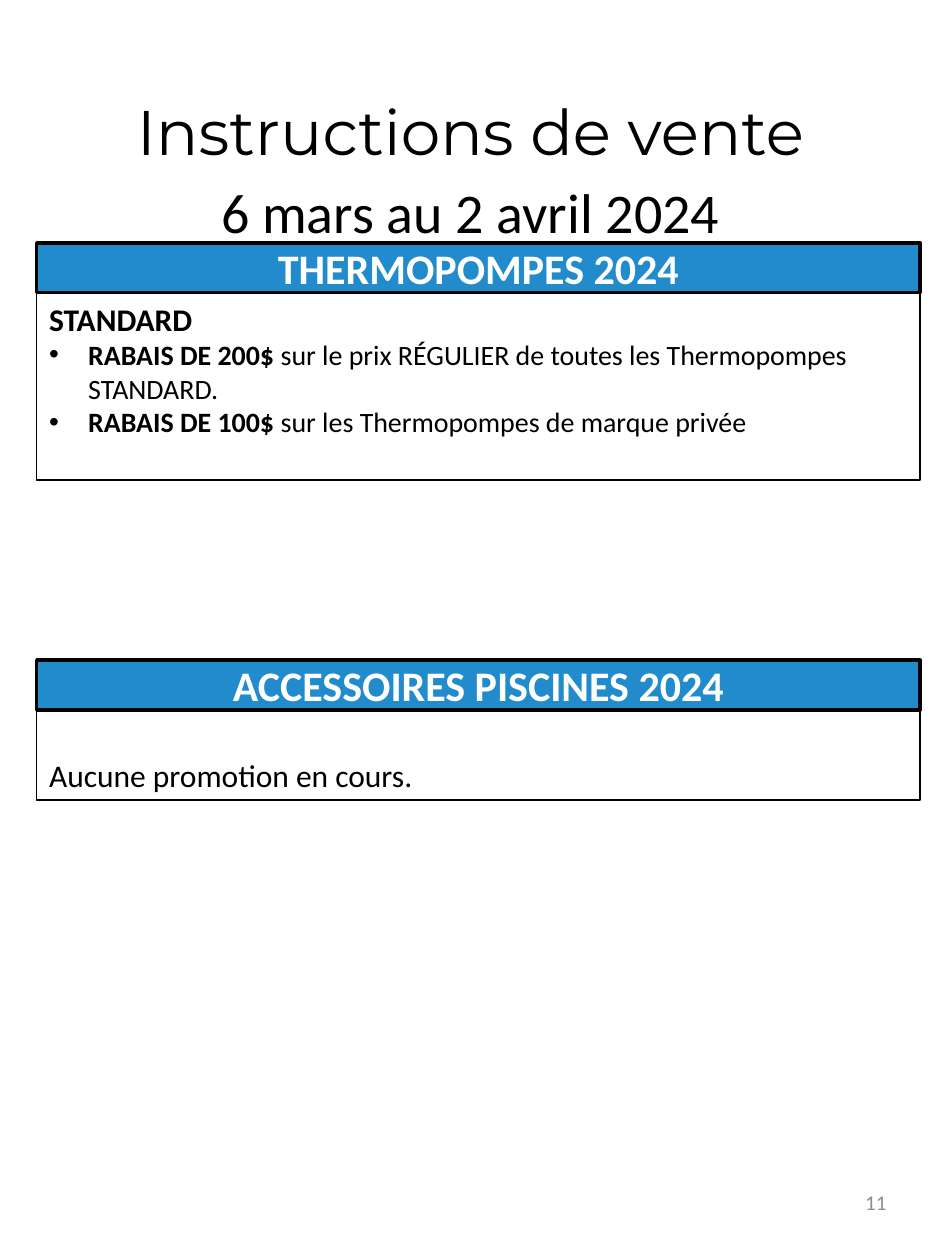
from dataclasses import dataclass

from lxml.etree import SubElement
from pptx import Presentation
from pptx.dml.color import RGBColor
from pptx.enum.shapes import MSO_SHAPE as Shape
from pptx.enum.text import MSO_ANCHOR as Anchor, MSO_AUTO_SIZE as AutoSize, PP_ALIGN as Align
from pptx.oxml.ns import qn
from pptx.util import Cm, Pt


@dataclass(frozen=True)
class Theme:
    """Colours, fonts and type sizes of the sales sheet."""

    black: RGBColor = RGBColor(0x00, 0x00, 0x00)
    white: RGBColor = RGBColor(0xFF, 0xFF, 0xFF)
    blue: RGBColor = RGBColor(0x21, 0x8B, 0xCB)
    grey: RGBColor = RGBColor(0x8C, 0x8C, 0x8C)
    display_font: str = "Montserrat"
    body_font: str = "Calibri"
    title_size: int = 36
    period_size: int = 32
    heading_size: int = 24
    text_size: int = 18
    bullet_size: int = 16
    number_size: int = 12


class SalesSheet:
    """Draws the elements of a sales sheet on the current slide."""

    left, width = Cm(0.74), Cm(17.81)
    heading_height, body_offset = Cm(1), Cm(1.02)
    bullet_indent = Cm(0.79)

    def __init__(self, slide, theme):
        self.slide = slide
        self.theme = theme

    def style(self, run, size, color, bold=False, font=None):
        run.font.name = font or self.theme.body_font
        run.font.size = Pt(size)
        run.font.bold = bold
        run.font.color.rgb = color

    def title(self, name, period):
        theme = self.theme
        title = self.slide.shapes.title
        title.left, title.top, title.width, title.height = Cm(0.91), Cm(1.5), Cm(17.15), Cm(3)
        frame = title.text_frame
        frame.text = f"{name}\v{period}"
        frame.auto_size = AutoSize.NONE
        frame.vertical_anchor = Anchor.TOP
        paragraph = frame.paragraphs[0]
        paragraph.alignment = Align.CENTER
        paragraph.line_spacing = 1.15
        paragraph.space_before, paragraph.space_after = Pt(0), Pt(10)
        name_run, period_run = paragraph.runs
        self.style(name_run, theme.title_size, theme.black, font=theme.display_font)
        self.style(period_run, theme.period_size, theme.black)
        line_break = paragraph._p.find(qn("a:br"))
        SubElement(line_break, qn("a:rPr"), sz=str(theme.period_size * 100))

    def box(self, top, height, line_width, anchor, fill=None):
        shape = self.slide.shapes.add_shape(Shape.RECTANGLE, self.left, top, self.width, height)
        shape.shadow.inherit = False
        if fill is None:
            shape.fill.background()
        else:
            shape.fill.solid()
            shape.fill.fore_color.rgb = fill
        shape.line.color.rgb = self.theme.black
        shape.line.width = Pt(line_width)
        shape.text_frame.word_wrap = True
        shape.text_frame.vertical_anchor = anchor
        return shape.text_frame

    def section(self, heading, top, body_height, anchor):
        theme = self.theme
        frame = self.box(top, self.heading_height, 2, Anchor.MIDDLE, theme.blue)
        frame.text = heading
        frame.paragraphs[0].alignment = Align.CENTER
        self.style(frame.paragraphs[0].runs[0], theme.heading_size, theme.white, bold=True)
        return self.box(top + self.body_offset, body_height, 0.75, anchor)

    def lead(self, frame, text, bold=False):
        paragraph = frame.paragraphs[0]
        paragraph.text = text
        paragraph.alignment = Align.LEFT
        self.style(paragraph.runs[0], self.theme.text_size, self.theme.black, bold)

    def bullet(self, frame, offer, detail):
        paragraph = frame.add_paragraph()
        paragraph.alignment = Align.LEFT
        properties = paragraph._p.get_or_add_pPr()
        properties.set("marL", str(self.bullet_indent))
        properties.set("indent", str(-self.bullet_indent))
        SubElement(properties, qn("a:buFont"), typeface="Arial")
        SubElement(properties, qn("a:buChar"), char="•")
        for text, bold in ((offer, True), (detail, False)):
            run = paragraph.add_run()
            run.text = text
            self.style(run, self.theme.bullet_size, self.theme.black, bold)

    def page_number(self, number):
        shape = self.slide.shapes.add_textbox(Cm(13.67), Cm(23.55), Cm(4.45), Cm(1.35))
        frame = shape.text_frame
        frame.text = str(number)
        frame.word_wrap = True
        frame.vertical_anchor = Anchor.MIDDLE
        frame.paragraphs[0].alignment = Align.RIGHT
        self.style(frame.paragraphs[0].runs[0], self.theme.number_size, self.theme.grey)


def main():
    presentation = Presentation()
    presentation.slide_width, presentation.slide_height = Cm(19.05), Cm(25.4)
    slide = presentation.slides.add_slide(presentation.slide_layouts.get_by_name("Title Only"))
    sheet = SalesSheet(slide, Theme())

    sheet.title("Instructions de vente", "6 mars au 2 avril 2024")
    heat_pumps = sheet.section("THERMOPOMPES 2024", Cm(4.9), Cm(3.76), Anchor.TOP)
    sheet.lead(heat_pumps, "STANDARD", bold=True)
    sheet.bullet(
        heat_pumps,
        "RABAIS DE 200$",
        " sur le prix RÉGULIER de toutes les Thermopompes STANDARD.",
    )
    sheet.bullet(heat_pumps, "RABAIS DE 100$ ", "sur les Thermopompes de marque privée")

    accessories = sheet.section("ACCESSOIRES PISCINES 2024", Cm(13.31), Cm(1.8), Anchor.BOTTOM)
    sheet.lead(accessories, "Aucune promotion en cours.")
    sheet.page_number(11)

    presentation.save("out.pptx")


if __name__ == "__main__":
    main()
